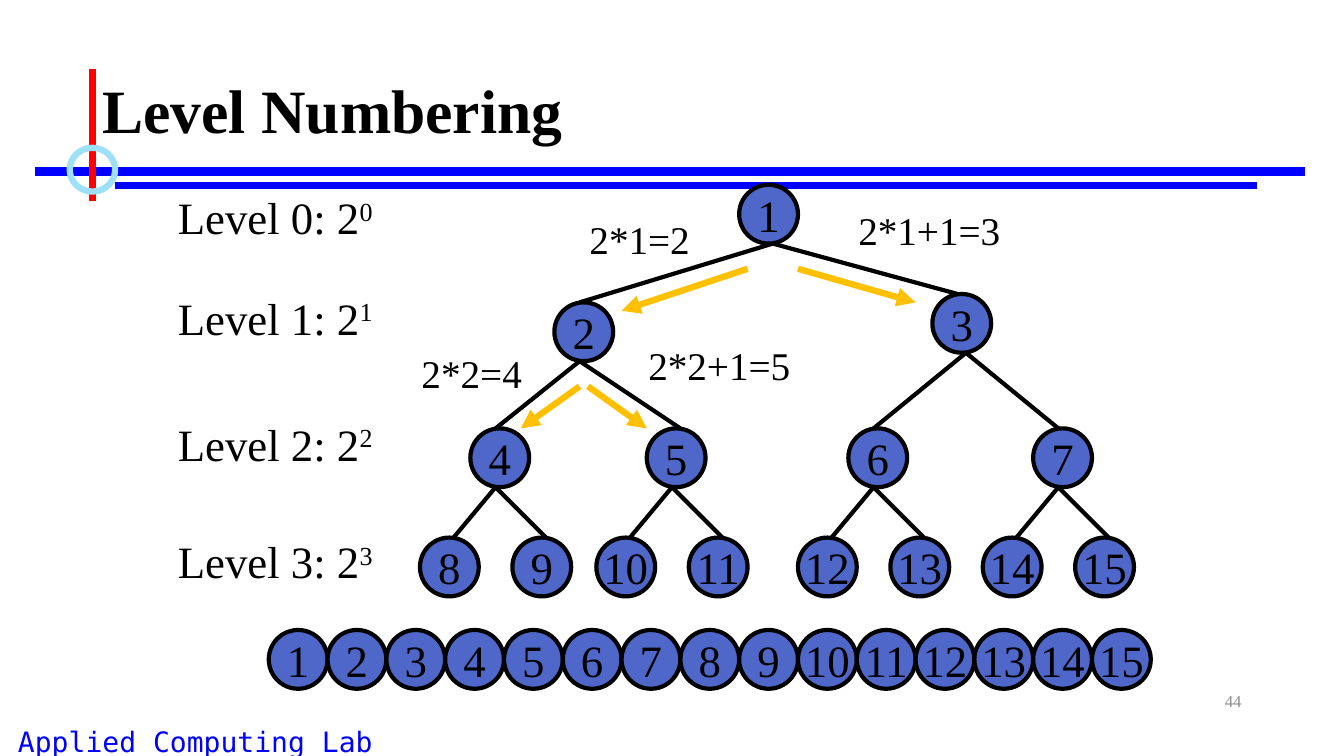
from dataclasses import dataclass

from lxml.etree import SubElement
from pptx import Presentation
from pptx.dml.color import RGBColor
from pptx.enum.shapes import MSO_CONNECTOR as Connector, MSO_SHAPE as Preset
from pptx.enum.text import MSO_ANCHOR as Anchor, MSO_AUTO_SIZE as AutoSize, PP_ALIGN as Align
from pptx.oxml.ns import qn
from pptx.util import Inches, Pt

COLUMNS, ROWS = 160, 90  # grid of twelve cells to the inch
CELL = Inches(1) / 12
NODE = 7  # node diameter in cells


@dataclass(frozen=True)
class Theme:
    """Colours, fonts, type sizes and line widths of the slide."""
    ink: str = "000000"
    node: str = "4E67C8"
    rule: str = "0000FF"
    upright: str = "FF0000"
    ring: str = "9EE0F8"
    step: str = "FFC000"
    page: str = "8C8C8C"
    serif: str = "Times New Roman"
    mono: str = "DejaVu Sans Mono"
    title_size: int = 44
    node_size: int = 32
    formula_size: int = 28
    footer_size: int = 20
    page_size: int = 12
    edge: float = 3
    accent: float = 4.5
    heavy: float = 6


THEME = Theme()


@dataclass(frozen=True)
class Box:
    """A region of the slide, in grid cells."""
    x: float
    y: float
    w: float
    h: float

    def at(self, dx, dy, w, h):
        """Return a box offset from this one's corner."""
        return Box(self.x + dx, self.y + dy, w, h)

    def point(self, dx, dy):
        """Return a grid point offset from this box's corner."""
        return self.x + dx, self.y + dy

    def emu(self):
        """Return left, top, width and height in EMU."""
        return [round(v * CELL) for v in (self.x, self.y, self.w, self.h)]


def write(shape, text, *, size, font=THEME.serif, color=THEME.ink, bold=False,
          align=Align.LEFT, anchor=Anchor.TOP, wrap=False, grow=False,
          superscript="", spacing=None):
    """Fill a shape with one formatted paragraph."""
    frame = shape.text_frame
    frame.word_wrap = wrap
    frame.vertical_anchor = anchor
    frame.auto_size = AutoSize.SHAPE_TO_FIT_TEXT if grow else AutoSize.NONE
    paragraph = frame.paragraphs[0]
    paragraph.alignment = align
    paragraph.line_spacing = spacing
    for part in filter(None, (text, superscript)):
        run = paragraph.add_run()
        run.text = part
        run.font.name, run.font.size, run.font.bold = font, Pt(size), bold
        run.font.color.rgb = RGBColor.from_string(color)
    if superscript:
        run._r.get_or_add_rPr().set("baseline", "30000")


def add_label(slide, box, text, **style):
    """Add a text box."""
    write(slide.shapes.add_textbox(*box.emu()), text, **style)


def add_line(slide, start, end, color, width, arrow=False):
    """Draw a straight line between grid points, optionally with an arrowhead."""
    ends = [round(v * CELL) for v in (*start, *end)]
    line = slide.shapes.add_connector(Connector.STRAIGHT, *ends)
    line.line.color.rgb = RGBColor.from_string(color)
    line.line.width = Pt(width)
    properties = line._element.spPr
    if arrow:
        SubElement(properties.find(qn("a:ln")), qn("a:tailEnd"), type="triangle")
    SubElement(properties, qn("a:effectLst"))


def add_ellipse(slide, box, outline, width, fill=None):
    """Draw an ellipse and return it."""
    ellipse = slide.shapes.add_shape(Preset.OVAL, *box.emu())
    ellipse.shadow.inherit = False
    if fill:
        ellipse.fill.solid()
        ellipse.fill.fore_color.rgb = RGBColor.from_string(fill)
    else:
        ellipse.fill.background()
    ellipse.line.color.rgb = RGBColor.from_string(outline)
    ellipse.line.width = Pt(width)
    return ellipse


def add_node(slide, box, number):
    """Draw one numbered node."""
    node = add_ellipse(slide, box, THEME.ink, THEME.edge, THEME.node)
    write(node, str(number), size=THEME.node_size, align=Align.CENTER, anchor=Anchor.MIDDLE)


def add_header(slide, box):
    """Place the title and the crossing rules around it."""
    title = slide.shapes.title
    title.left, title.top, title.width, title.height = box.at(6.8, 0, 138, 17.4).emu()
    write(title, "Level Numbering", size=THEME.title_size, bold=True,
          anchor=Anchor.MIDDLE, wrap=True, spacing=0.9)
    for start, end, color, width in (
            ((0, 15.6), (151.2, 15.6), THEME.rule, THEME.heavy),
            ((9.5, 17.3), (145.4, 17.3), THEME.rule, THEME.accent),
            ((6.8, 3.4), (6.8, 19.1), THEME.upright, THEME.accent)):
        add_line(slide, box.point(*start), box.point(*end), color, width)
    add_ellipse(slide, box.at(4.1, 12.8, 5.4, 5.2), THEME.ring, THEME.accent)


def add_levels(slide, box):
    """List the node count of every level."""
    for level, row in enumerate((0, 12, 27, 41)):
        add_label(slide, box.at(0, row, box.w, 7.6), f"Level {level}: 2",
                  superscript=str(level), size=THEME.node_size, grow=True)


def add_tree(slide, box):
    """Draw the binary tree; node n has the children 2n and 2n+1."""
    columns = (38, 16, 61, 6, 27, 51, 73, 0, 11, 21, 32, 45, 56, 67, 78)
    rows = (0, 14, 13) + (29,) * 4 + (42,) * 8
    nodes = {n: box.at(x, y, NODE, NODE)
             for n, (x, y) in enumerate(zip(columns, rows), start=1)}
    for child in range(2, len(nodes) + 1):
        parent = child // 2
        # Edges meet the grid line just left or right of a node's centre
        foot = 4 if parent in (1, 3) else 3
        head = 4 if child == 5 or child >= 8 else 3
        add_line(slide, nodes[parent].point(foot, NODE), nodes[child].point(head, 0),
                 THEME.ink, THEME.edge)
    for number, place in nodes.items():
        add_node(slide, place, number)


def add_steps(slide, box):
    """Show how child numbers follow from the parent's number."""
    for formula, (x, y), width, start, end in (
            ("2*1=2", (19, 3), 14.4, (39, 10), (24, 15)),
            ("2*1+1=3", (51, 2), 19.4, (45, 10), (59, 14)),
            ("2*2=4", (-1, 19), 14.4, (19, 24), (12, 29)),
            ("2*2+1=5", (26, 18), 19.4, (20, 24), (27, 29))):
        add_line(slide, box.point(*start), box.point(*end), THEME.step, THEME.accent, arrow=True)
        add_label(slide, box.at(x, y, width, 6.8), formula, size=THEME.formula_size, grow=True)


def add_array(slide, box):
    """Line up the nodes in array order."""
    for index in range(15):
        add_node(slide, box.at(index * NODE, 0, NODE, NODE), index + 1)


def add_footer(slide, box):
    """Place the lab's name and the page number."""
    add_label(slide, box.at(0, 4.6, 46.5, 4.4), "Applied Computing Lab", size=THEME.footer_size,
              font=THEME.mono, color=THEME.rule, align=Align.CENTER)
    add_label(slide, box.at(113, 0, 36, 4.8), "44", size=THEME.page_size, color=THEME.page,
              align=Align.RIGHT, anchor=Anchor.MIDDLE, wrap=True)


def build():
    """Build and save the presentation."""
    deck = Presentation()
    deck.slide_width, deck.slide_height = round(COLUMNS * CELL), round(ROWS * CELL)
    slide = deck.slides.add_slide(deck.slide_layouts[5])
    tree = Box(50, 22, 85, 49)
    add_header(slide, Box(4.2, 4.8, 151.2, 19.1))
    add_levels(slide, Box(20, 22, 26.4, 49))
    add_tree(slide, tree)
    add_steps(slide, tree)
    add_array(slide, Box(32, 75, 105, NODE))
    add_footer(slide, Box(0, 81, COLUMNS, 9))
    deck.save("out.pptx")


build()
